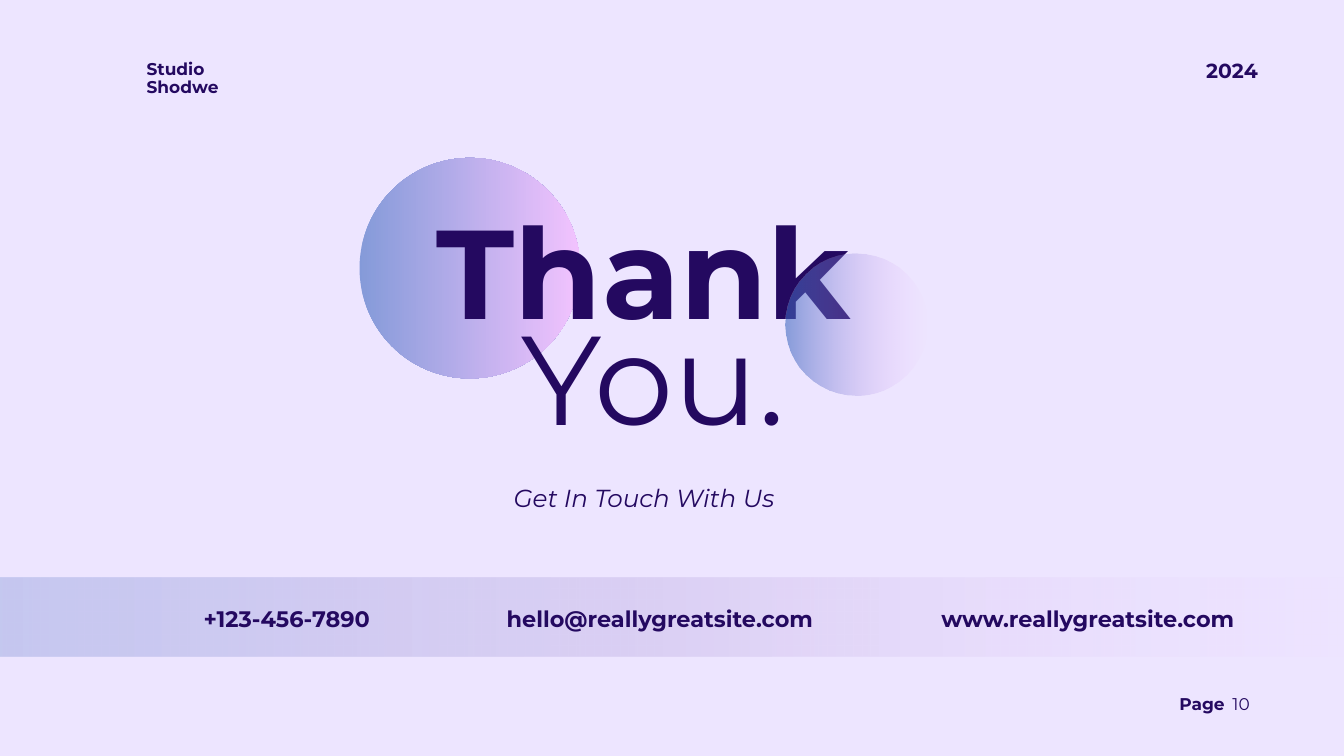
from dataclasses import dataclass, field

from lxml.etree import SubElement
from pptx import Presentation
from pptx.dml.color import RGBColor
from pptx.enum.shapes import MSO_SHAPE
from pptx.enum.text import MSO_AUTO_SIZE, PP_ALIGN
from pptx.oxml.ns import qn
from pptx.slide import Slide
from pptx.util import Pt

LAVENDER = RGBColor(0xED, 0xE5, 0xFF)
INDIGO = RGBColor(0x24, 0x09, 0x60)
BLUE = RGBColor(0x3C, 0x67, 0xBF)
VIOLET = RGBColor(0x6B, 0x4C, 0xAF)
PINK = RGBColor(0xF7, 0xAC, 0xFF)

FONT = "Montserrat"
HEADER_TOP = 66.25
CONTACT_TOP = 658
FOOTER_TOP = 746

BOLD = {"bold": True}
ITALIC = {"italic": True}
REGULAR = {"bold": False}


@dataclass(frozen=True)
class Stop:
    position: int
    color: RGBColor
    opacity: int


@dataclass(frozen=True)
class GradientShape:
    kind: MSO_SHAPE
    left: float
    top: float
    width: float
    height: float
    stops: tuple[Stop, ...]


@dataclass(frozen=True)
class Label:
    wording: str
    left: float
    top: float
    width: float
    height: float
    size: float
    leading: float
    style: dict = field(default_factory=dict)
    align: PP_ALIGN = PP_ALIGN.LEFT


LARGE_CIRCLE = GradientShape(MSO_SHAPE.OVAL, 385.2, 169.2, 236.2, 236.2,
                             (Stop(0, BLUE, 58), Stop(100, PINK, 58)))
SMALL_CIRCLE = GradientShape(MSO_SHAPE.OVAL, 841.7, 271.4, 152, 152,
                             (Stop(0, BLUE, 58), Stop(100, PINK, 0)))
CONTACT_BAND = GradientShape(MSO_SHAPE.RECTANGLE, -38.9, 619.2, 1517.8, 84.2,
                             (Stop(0, BLUE, 23), Stop(50, VIOLET, 13), Stop(100, PINK, 0)))

TITLE = (
    Label("Thank", 411.8, 261.4, 555.8, 121.7, 135.3, 108.3, BOLD, PP_ALIGN.CENTER),
    Label("You.", 503.3, 375.1, 393.1, 121.7, 135.3, 108.3, REGULAR, PP_ALIGN.CENTER),
)
DETAILS = (
    Label("Studio Shodwe", 157, HEADER_TOP, 94.3, 37.4, 18.2, 18.6, BOLD),
    Label("2024", 1292.4, HEADER_TOP, 67, 22.3, 21.8, 22.3, BOLD),
    Label("Page", 1263.6, FOOTER_TOP, 56.9, 19.4, 18.2, 18.6, BOLD),
    Label("10", 1320.5, FOOTER_TOP, 28.1, 18.7, 18.2, 18.6, REGULAR),
    Label("Get In Touch With Us", 514.8, 527.8, 350.6, 23.8, 26.4, 21.1, ITALIC,
          PP_ALIGN.CENTER),
)
CONTACTS = (
    ("+123-456-7890", 218.2, 223.2),
    ("hello@reallygreatsite.com", 542.9, 340.6),
    ("www.reallygreatsite.com", 1008.7, 340.6),
)


def draw_gradient_shape(slide: Slide, item: GradientShape) -> None:
    """Draw a borderless shape with a left-to-right, partly transparent gradient."""
    shape = slide.shapes.add_shape(item.kind, Pt(item.left), Pt(item.top),
                                   Pt(item.width), Pt(item.height))
    shape.shadow.inherit = False
    shape.line.fill.background()
    shape.fill.gradient()
    shape.fill.gradient_angle = 0
    stop_list = shape._element.spPr.find(qn("a:gradFill")).find(qn("a:gsLst"))
    for default_stop in list(stop_list):
        stop_list.remove(default_stop)
    for stop in item.stops:
        entry = SubElement(stop_list, qn("a:gs"), pos=str(stop.position * 1000))
        color = SubElement(entry, qn("a:srgbClr"), val=str(stop.color))
        SubElement(color, qn("a:alpha"), val=str(stop.opacity * 1000))


def draw_label(slide: Slide, label: Label) -> None:
    box = slide.shapes.add_textbox(Pt(label.left), Pt(label.top),
                                   Pt(label.width), Pt(label.height))
    frame = box.text_frame
    frame_format = {"margin_left": 0, "margin_top": 0, "margin_right": 0,
                    "margin_bottom": 0, "word_wrap": True,
                    "auto_size": MSO_AUTO_SIZE.SHAPE_TO_FIT_TEXT}
    for name, value in frame_format.items():
        setattr(frame, name, value)
    paragraph = frame.paragraphs[0]
    paragraph.alignment = label.align
    paragraph.line_spacing = Pt(label.leading)
    run = paragraph.add_run()
    run.text = label.wording
    for name, value in {"name": FONT, "size": Pt(label.size), **label.style}.items():
        setattr(run.font, name, value)
    run.font.color.rgb = INDIGO


def main() -> None:
    presentation = Presentation()
    presentation.slide_width = Pt(1440)
    presentation.slide_height = Pt(810)
    slide = presentation.slides.add_slide(presentation.slide_layouts[6])
    slide.background.fill.solid()
    slide.background.fill.fore_color.rgb = LAVENDER

    draw_gradient_shape(slide, LARGE_CIRCLE)
    for label in TITLE:
        draw_label(slide, label)
    draw_gradient_shape(slide, SMALL_CIRCLE)
    draw_gradient_shape(slide, CONTACT_BAND)
    for label in DETAILS:
        draw_label(slide, label)
    for wording, left, width in CONTACTS:
        draw_label(slide, Label(wording, left, CONTACT_TOP, width, 20.9, 24, 19.2, BOLD))

    presentation.save("out.pptx")


if __name__ == "__main__":
    main()
